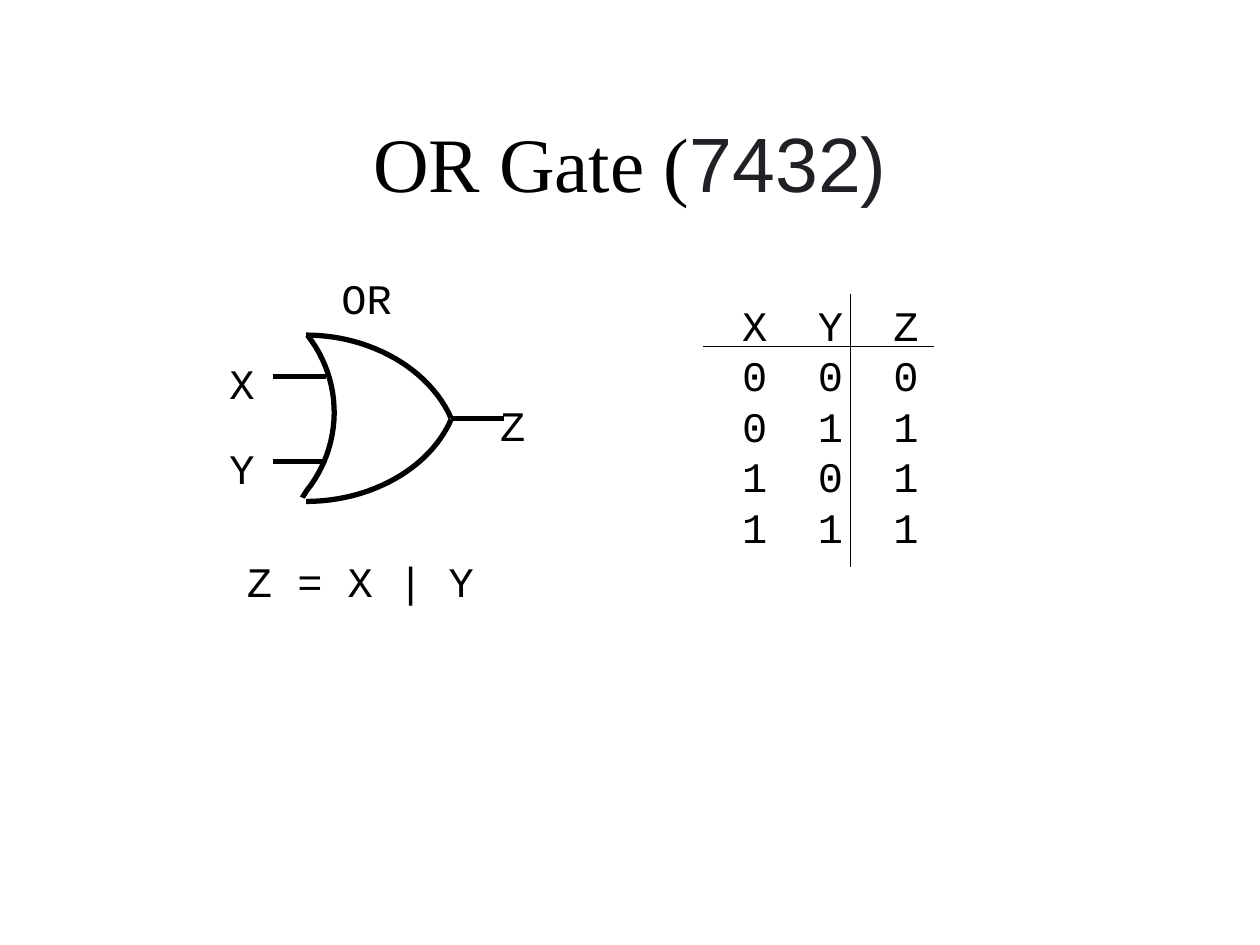
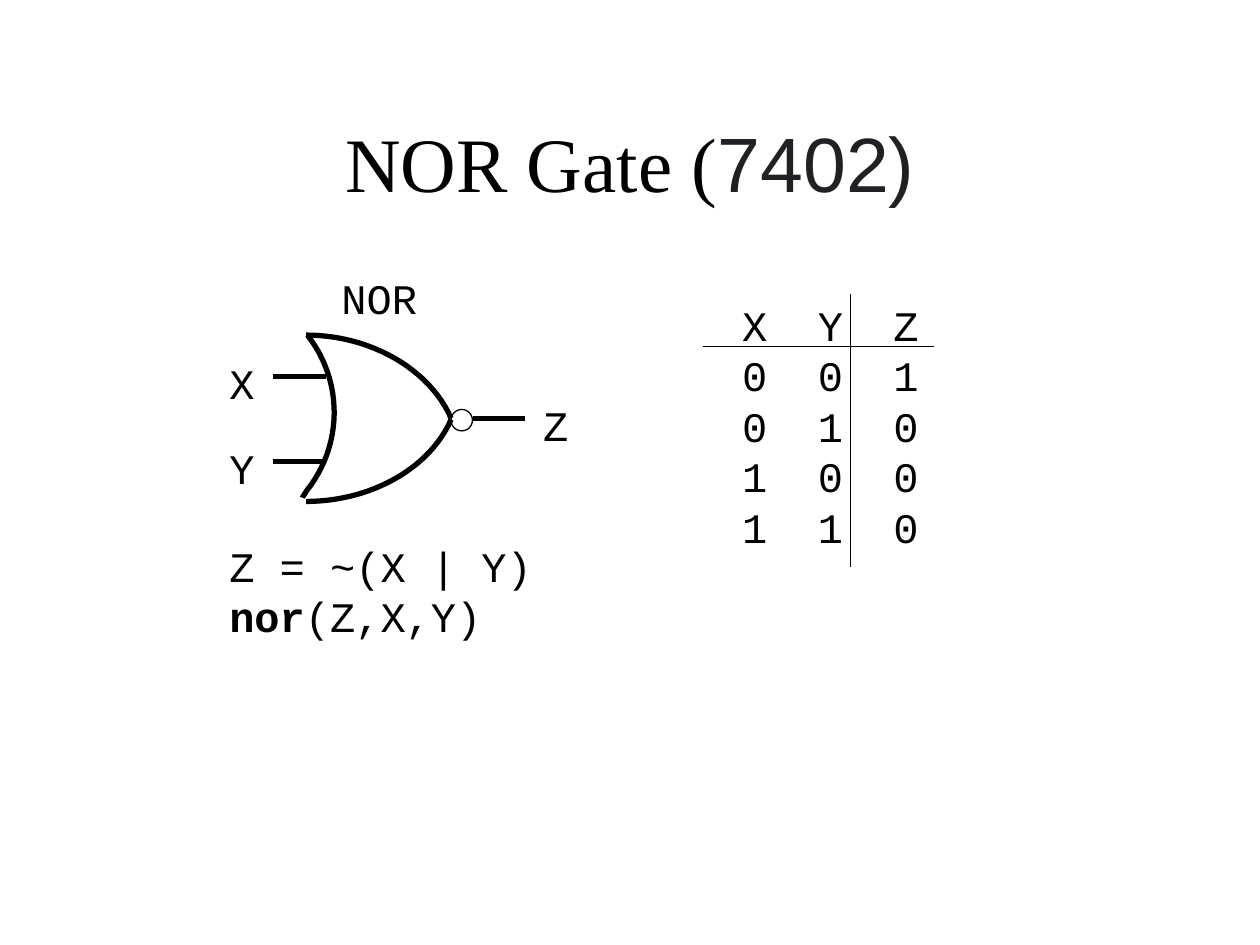
from lxml import etree
from pptx import Presentation
from pptx.dml.color import RGBColor
from pptx.enum import shapes, text
from pptx.oxml.ns import qn
from pptx.util import Inches, Pt

INK = "000000"
GREY = "202124"
SERIF = "Times New Roman"
SANS = "Arial"
MONO = "Courier New"
THICK = 3
THIN = 0.75

CURVES = [
    [(2.43, 2.66), (2.94, 2.66), (3.41, 2.93), (3.58, 3.32)],
    [(2.43, 3.98), (2.94, 3.98), (3.41, 3.72), (3.58, 3.33)],
    [(2.44, 2.66), (2.73, 3.03), (2.72, 3.54), (2.43, 3.9),
     (2.42, 3.92), (2.41, 3.93), (2.4, 3.95)],
]
INPUTS = [("X", 2.99), ("Y", 3.66)]
PAIRS = [(0, 0), (0, 1), (1, 0), (1, 1)]


def paint(code):
    return RGBColor.from_string(code)


def write(para, words, font=MONO, size=24, color=INK, bold=False):
    run = para.add_run()
    run.text = words
    run.font.name = font
    run.font.size = Pt(size)
    run.font.bold = bold
    run.font.color.rgb = paint(color)


def inset(frame, top=0.05, low=0.05):
    frame.margin_left = frame.margin_right = Inches(0.05)
    frame.margin_top, frame.margin_bottom = Inches(top), Inches(low)


def trace(curve, steps=24):
    points = [curve[0]]
    for start in range(0, len(curve) - 1, 3):
        a, b, c, d = curve[start:start + 4]
        for step in range(1, steps + 1):
            t = step / steps
            s = 1 - t
            points.append(tuple(
                s**3 * a[k] + 3 * s * s * t * b[k] + 3 * s * t * t * c[k] + t**3 * d[k]
                for k in (0, 1)))
    return [(Inches(x), Inches(y)) for x, y in points]


class Deck:
    def __init__(self):
        self.file = Presentation()
        self.file.slide_width = Inches(10)
        self.file.slide_height = Inches(7.5)
        self.slide = None

    def page(self, name, chip):
        self.slide = self.file.slides.add_slide(self.file.slide_layouts[5])
        title = self.slide.shapes.title
        title.left, title.top = Inches(0.75), Inches(0.66)
        title.width, title.height = Inches(8.5), Inches(1.25)
        frame = title.text_frame
        frame.vertical_anchor = text.MSO_ANCHOR.MIDDLE
        inset(frame)
        para = frame.paragraphs[0]
        para.alignment = text.PP_ALIGN.CENTER
        write(para, f"{name} Gate (", font=SERIF, size=44)
        write(para, f"{chip})", font=SANS, size=44, color=GREY)

    def pen(self, shape, width):
        shape.line.color.rgb = paint(INK)
        shape.line.width = Pt(width)

    def line(self, x1, y1, x2, y2, width=THICK):
        wire = self.slide.shapes.add_connector(
            shapes.MSO_CONNECTOR.STRAIGHT,
            Inches(x1), Inches(y1), Inches(x2), Inches(y2))
        self.pen(wire, width)
        etree.SubElement(wire._element.spPr, qn("a:effectLst"))

    def hollow(self, shape, width):
        shape.shadow.inherit = False
        shape.fill.background()
        self.pen(shape, width)

    def curve(self, curve):
        first, *rest = trace(curve)
        path = self.slide.shapes.build_freeform(*first)
        path.add_line_segments(rest, close=False)
        self.hollow(path.convert_to_shape(), THICK)

    def ring(self, x, y, size):
        ring = self.slide.shapes.add_shape(
            shapes.MSO_SHAPE.OVAL, Inches(x), Inches(y), Inches(size), Inches(size))
        self.hollow(ring, THIN)

    def label(self, x, y, width, *rows):
        box = self.slide.shapes.add_textbox(
            Inches(x), Inches(y), Inches(width), Inches(0.1 + 0.4 * len(rows)))
        frame = box.text_frame
        frame.word_wrap = False
        frame.auto_size = text.MSO_AUTO_SIZE.SHAPE_TO_FIT_TEXT
        inset(frame, top=0.09, low=0.01)
        for index, row in enumerate(rows):
            para = frame.add_paragraph() if index else frame.paragraphs[0]
            para.line_spacing = Pt(28.8)
            for words, bold in row if isinstance(row, list) else [(row, False)]:
                write(para, words, bold=bold)

    def table(self, results):
        rows = ["XYZ"] + [(*pair, z) for pair, z in zip(PAIRS, results)]
        widths = [0.6, 0.6, 0.3]
        grid = self.slide.shapes.add_table(
            len(rows), len(widths), Inches(5.89), Inches(2.42),
            Inches(sum(widths)), Inches(0.4 * len(rows))).table
        grid.first_row = grid.horz_banding = False
        for column, width in zip(grid.columns, widths):
            column.width = Inches(width)
        for r, row in enumerate(rows):
            grid.rows[r].height = Inches(0.4)
            for c, value in enumerate(row):
                cell = grid.cell(r, c)
                cell.fill.background()
                cell.vertical_anchor = text.MSO_ANCHOR.MIDDLE
                cell.margin_left = cell.margin_right = 0
                cell.margin_top = cell.margin_bottom = 0
                write(cell.text_frame.paragraphs[0], str(value))
        self.line(5.58, 2.75, 7.41, 2.75, THIN)
        self.line(6.75, 2.33, 6.75, 4.5, THIN)

    def gate(self, name, chip, results, out, end):
        self.page(name, chip)
        for curve in CURVES:
            self.curve(curve)
        for pin, y in INPUTS:
            self.line(2.59, y, 2.17, y)
            self.label(1.77, y - 0.24, 0.3, pin)
        self.line(out + 0.42, 3.32, out, 3.32)
        self.label(end, 3.08, 0.3, "Z")
        self.label(2.66, 2.07, 0.1 + 0.2 * len(name), name)
        self.table(results)


def main():
    deck = Deck()
    deck.gate("OR", "7432", [x | y for x, y in PAIRS], out=3.58, end=3.92)
    deck.label(1.91, 4.32, 1.9, "Z = X | Y")
    deck.gate("NOR", "7402", [1 - (x | y) for x, y in PAIRS], out=3.75, end=4.26)
    deck.ring(3.58, 3.25, 0.17)
    deck.label(1.77, 4.2, 2.5, "Z = ~(X | Y)", [("nor", True), ("(Z,X,Y)", False)])
    deck.file.save("out.pptx")


if __name__ == "__main__":
    main()
